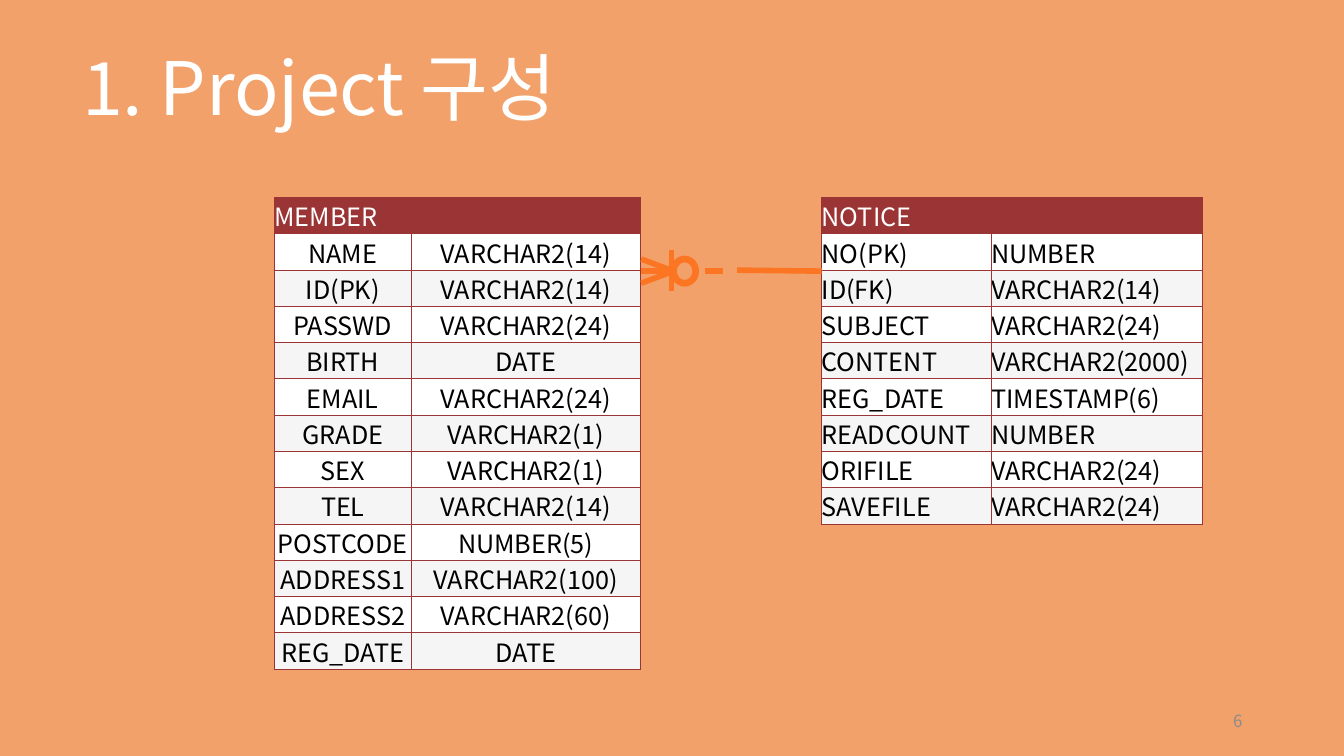
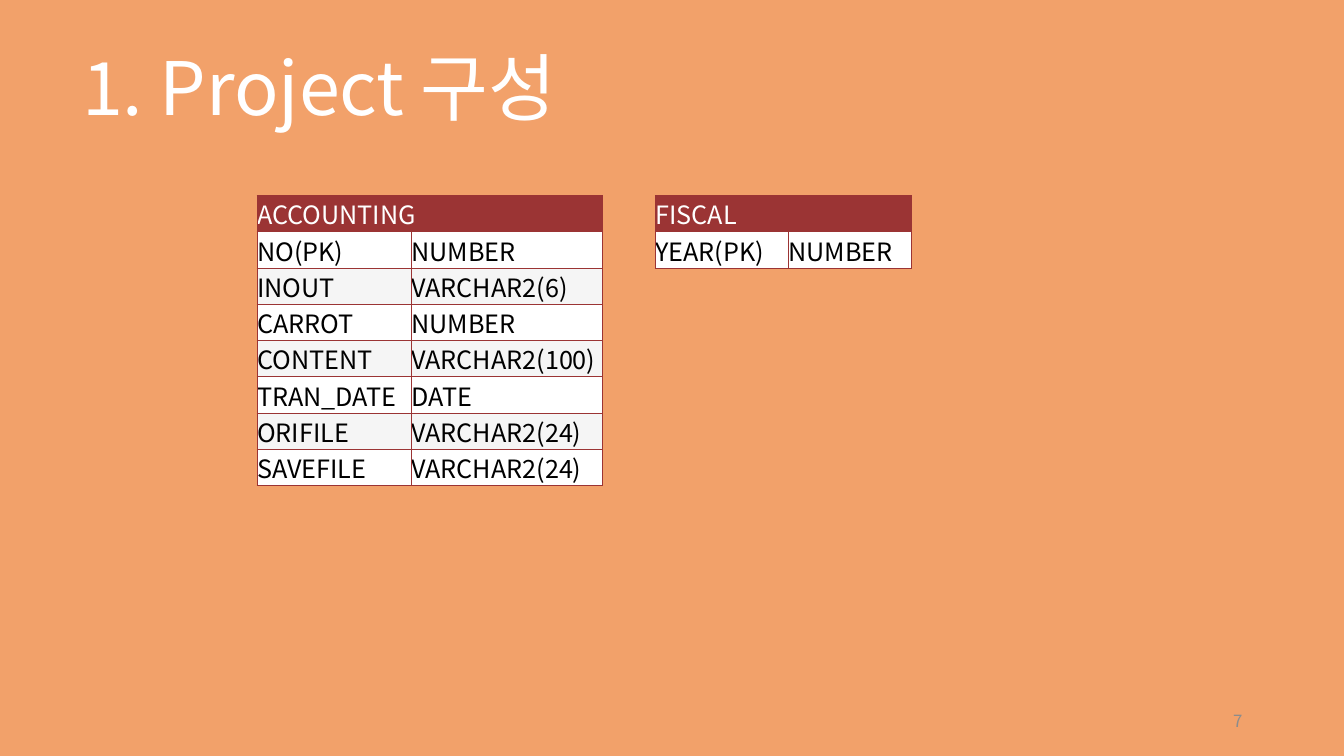
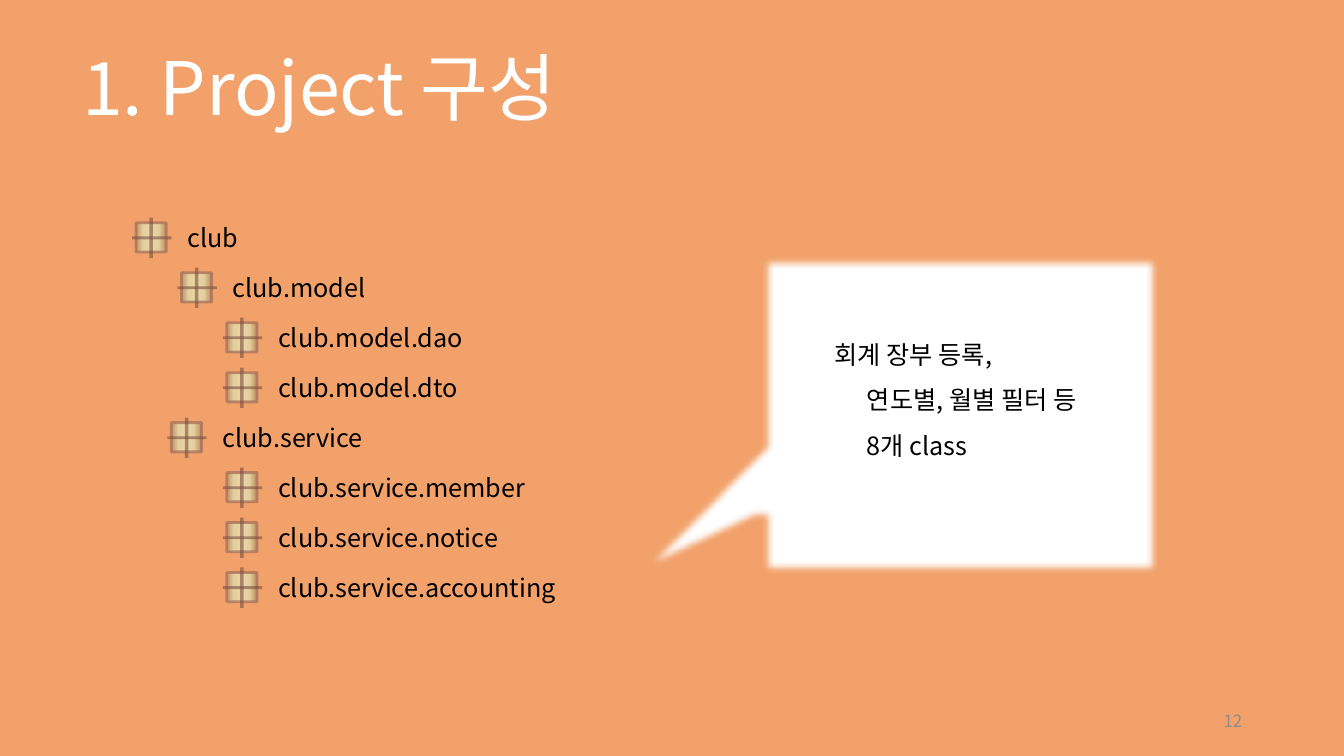
from lxml.etree import SubElement
from pptx import Presentation
from pptx.dml.color import RGBColor
from pptx.enum.shapes import MSO_CONNECTOR, MSO_SHAPE
from pptx.enum.text import MSO_ANCHOR, MSO_AUTO_SIZE, PP_ALIGN
from pptx.oxml.ns import qn
from pptx.util import Inches, Pt

FONT = "Noto Sans CJK KR"
PEACH = RGBColor(0xF2, 0xA1, 0x6A)
WHITE = RGBColor(0xFF, 0xFF, 0xFF)
BLACK = RGBColor(0, 0, 0)
GRAY = RGBColor(0x8C, 0x8C, 0x8C)
BAND = RGBColor(0xF5, 0xF5, 0xF5)
MAROON = RGBColor(0x9B, 0x34, 0x34)
ORANGE = RGBColor(0xFC, 0x75, 0x22)
TWINE = RGBColor(0x7B, 0x50, 0x40)
BOX_EDGE = RGBColor(0xA9, 0x74, 0x5C)
BOX_SHADES = [
    (0, RGBColor(0xC1, 0x91, 0x64)),
    (23, RGBColor(0xE4, 0xCF, 0x9E)),
    (50, RGBColor(0xEA, 0xD6, 0xA4)),
    (75, RGBColor(0xE4, 0xCF, 0x9E)),
    (98, RGBColor(0xC1, 0x91, 0x64)),
]

TITLE = "1. Project 구성"
ROW_HEIGHT = 0.36

MEMBER = ("MEMBER", [
    ("NAME", "VARCHAR2(14)"),
    ("ID(PK)", "VARCHAR2(14)"),
    ("PASSWD", "VARCHAR2(24)"),
    ("BIRTH", "DATE"),
    ("EMAIL", "VARCHAR2(24)"),
    ("GRADE", "VARCHAR2(1)"),
    ("SEX", "VARCHAR2(1)"),
    ("TEL", "VARCHAR2(14)"),
    ("POSTCODE", "NUMBER(5)"),
    ("ADDRESS1", "VARCHAR2(100)"),
    ("ADDRESS2", "VARCHAR2(60)"),
    ("REG_DATE", "DATE"),
])
NOTICE = ("NOTICE", [
    ("NO(PK)", "NUMBER"),
    ("ID(FK)", "VARCHAR2(14)"),
    ("SUBJECT", "VARCHAR2(24)"),
    ("CONTENT", "VARCHAR2(2000)"),
    ("REG_DATE", "TIMESTAMP(6)"),
    ("READCOUNT", "NUMBER"),
    ("ORIFILE", "VARCHAR2(24)"),
    ("SAVEFILE", "VARCHAR2(24)"),
])
ACCOUNTING = ("ACCOUNTING", [
    ("NO(PK)", "NUMBER"),
    ("INOUT", "VARCHAR2(6)"),
    ("CARROT", "NUMBER"),
    ("CONTENT", "VARCHAR2(100)"),
    ("TRAN_DATE", "DATE"),
    ("ORIFILE", "VARCHAR2(24)"),
    ("SAVEFILE", "VARCHAR2(24)"),
])
FISCAL = ("FISCAL", [("YEAR(PK)", "NUMBER")])

RELATION_LINES = [
    ((6.66, 2.48), (6.66, 2.89)),
    ((6.36, 2.57), (6.68, 2.69)),
    ((6.68, 2.69), (6.36, 2.69)),
    ((6.68, 2.69), (6.36, 2.81)),
    ((7.31, 2.68), (8.15, 2.69)),
    ((7.17, 2.69), (6.99, 2.69)),
]

PACKAGES = [
    ("club", 0),
    ("club.model", 0.45),
    ("club.model.dao", 0.9),
    ("club.model.dto", 0.9),
    ("club.service", 0.35),
    ("club.service.member", 0.9),
    ("club.service.notice", 0.9),
    ("club.service.accounting", 0.9),
]
TREE_LEFT, TREE_TOP, TREE_LAST = 1.31, 2.16, 5.63

ACCOUNTING_NOTE = [
    ("회계 장부 등록,", 0.63),
    ("연도별, 월별 필터 등", 0.95),
    ("8개 class", 0.95),
]


def inches(*lengths):
    return [Inches(length) for length in lengths]


def style(paragraph, color, size=18, align=PP_ALIGN.LEFT, spacing=None):
    paragraph.alignment = align
    if spacing:
        paragraph.line_spacing = spacing
    for run in paragraph.runs:
        run.font.size = Pt(size)
        run.font.name = FONT
        run.font.color.rgb = color
        SubElement(run.font._element, qn("a:ea"), typeface=FONT)


def set_alpha(line, percent):
    color = line._get_or_add_ln().find(".//" + qn("a:srgbClr"))
    SubElement(color, qn("a:alpha"), val=str(percent * 1000))


def add_label(shapes, box, text, color, size=18, align=PP_ALIGN.LEFT):
    frame = shapes.add_textbox(*inches(*box)).text_frame
    frame.word_wrap = True
    frame.vertical_anchor = MSO_ANCHOR.MIDDLE
    frame.text = text
    style(frame.paragraphs[0], color, size, align)


def add_line(shapes, start, end, color, width):
    connector = shapes.add_connector(MSO_CONNECTOR.STRAIGHT, *inches(*start, *end))
    connector.line.color.rgb = color
    connector.line.width = Pt(width)
    SubElement(connector._element.spPr, qn("a:effectLst"))
    return connector


def set_borders(cell):
    properties = cell._tc.get_or_add_tcPr()
    for position, side in enumerate(("lnL", "lnR", "lnT", "lnB")):
        border = SubElement(properties, qn("a:" + side), w=str(Pt(0.75)))
        fill = SubElement(border, qn("a:solidFill"))
        SubElement(fill, qn("a:srgbClr"), val=str(MAROON))
        properties.insert(position, border)


def fill_cell(cell, text, fill, color, align):
    cell.margin_left = cell.margin_right = cell.margin_top = cell.margin_bottom = 0
    cell.vertical_anchor = MSO_ANCHOR.MIDDLE
    cell.fill.solid()
    cell.fill.fore_color.rgb = fill
    cell.text = text
    style(cell.text_frame.paragraphs[0], color, align=align)
    set_borders(cell)


def add_entity(slide, entity, left, top, widths, align=PP_ALIGN.LEFT):
    name, fields = entity
    rows = len(fields) + 1
    frame = slide.shapes.add_table(
        rows, 2, *inches(left, top, sum(widths), rows * ROW_HEIGHT))
    table = frame.table
    table.first_row = table.horz_banding = False
    for column, width in zip(table.columns, widths):
        column.width = Inches(width)
    for column, text in enumerate((name, "")):
        fill_cell(table.cell(0, column), text, MAROON, WHITE, PP_ALIGN.LEFT)
    table.cell(0, 0).merge(table.cell(0, 1))
    for row, field in enumerate(fields, 1):
        for column, text in enumerate(field):
            fill_cell(table.cell(row, column), text,
                      WHITE if row % 2 else BAND, BLACK, align)


def add_package(slide, name, left, top):
    group = slide.shapes.add_group_shape().shapes
    box = group.add_shape(
        MSO_SHAPE.RECTANGLE, *inches(left + 0.04, top + 0.05, 0.3, 0.29))
    box.shadow.inherit = False
    box.fill.gradient()
    box.fill.gradient_angle = 0
    stops = box._element.spPr.find(".//" + qn("a:gsLst"))
    for stop in list(stops):
        stops.remove(stop)
    for position, shade in BOX_SHADES:
        stop = SubElement(stops, qn("a:gs"), pos=str(position * 1000))
        SubElement(stop, qn("a:srgbClr"), val=str(shade))
    box.line.color.rgb = BOX_EDGE
    box.line.width = Pt(2)
    set_alpha(box.line, 76)
    middle_x, middle_y = left + 0.19, top + 0.2
    for start, end, width in (
        ((left + 0.39, middle_y), (left, middle_y), 2),
        ((middle_x, top), (middle_x, top + 0.4), 2.5),
    ):
        set_alpha(add_line(group, start, end, TWINE, width).line, 60)
    add_label(group, (left + 0.45, top, 4.72, 0.4), name, BLACK)


def add_note(slide):
    note = slide.shapes.add_shape(
        MSO_SHAPE.RECTANGULAR_CALLOUT, *inches(7.55, 2.54, 3.94, 3.15))
    note.adjustments[0], note.adjustments[1] = -0.875, 0.555
    note.fill.solid()
    note.fill.fore_color.rgb = WHITE
    note.line.fill.background()
    note.shadow.inherit = False
    effects = note._element.spPr.find(qn("a:effectLst"))
    SubElement(effects, qn("a:softEdge"), rad=str(Pt(5)))
    frame = note.text_frame
    frame.word_wrap = True
    frame.vertical_anchor = MSO_ANCHOR.MIDDLE
    frame.margin_bottom = Inches(0.5)
    frame.text = "\n".join(text for text, indent in ACCOUNTING_NOTE)
    for paragraph, (text, indent) in zip(frame.paragraphs, ACCOUNTING_NOTE):
        style(paragraph, BLACK, spacing=1.5)
        paragraph._p.get_or_add_pPr().set("marL", str(Inches(indent)))


def set_up_master(prs):
    prs.slide_width, prs.slide_height = inches(13.33, 7.5)
    background = prs.slide_master.background.fill
    background.solid()
    background.fore_color.rgb = PEACH
    title = prs.slide_master.placeholders[0]
    title.left, title.top, title.width, title.height = inches(0.2, 0.14, 5.93, 1.53)


def add_slide(prs, number):
    slide = prs.slides.add_slide(prs.slide_layouts[5])
    frame = slide.shapes.title.text_frame
    frame.auto_size = MSO_AUTO_SIZE.NONE
    frame.vertical_anchor = MSO_ANCHOR.MIDDLE
    frame.text = TITLE
    style(frame.paragraphs[0], WHITE, 52.6, PP_ALIGN.CENTER, 0.9)
    add_label(slide.shapes, (9.42, 6.95, 3, 0.4), str(number), GRAY, 12, PP_ALIGN.RIGHT)
    return slide


def main():
    prs = Presentation()
    set_up_master(prs)

    members = add_slide(prs, 6)
    add_entity(members, NOTICE, 8.15, 1.96, (1.68, 2.1))
    add_entity(members, MEMBER, 2.72, 1.96, (1.36, 2.27), PP_ALIGN.CENTER)
    optional = members.shapes.add_shape(
        MSO_SHAPE.OVAL, *inches(6.68, 2.57, 0.22, 0.24))
    optional.shadow.inherit = False
    optional.fill.background()
    optional.line.color.rgb = ORANGE
    optional.line.width = Pt(4.75)
    for start, end in RELATION_LINES:
        add_line(members.shapes, start, end, ORANGE, 4)

    accounts = add_slide(prs, 7)
    add_entity(accounts, ACCOUNTING, 2.55, 1.94, (1.53, 1.9))
    add_entity(accounts, FISCAL, 6.5, 1.94, (1.32, 1.22))

    packages = add_slide(prs, 12)
    pitch = (TREE_LAST - TREE_TOP) / (len(PACKAGES) - 1)
    for row, (name, indent) in enumerate(PACKAGES):
        add_package(packages, name, TREE_LEFT + indent, TREE_TOP + row * pitch)
    add_note(packages)

    prs.save("out.pptx")


if __name__ == "__main__":
    main()
